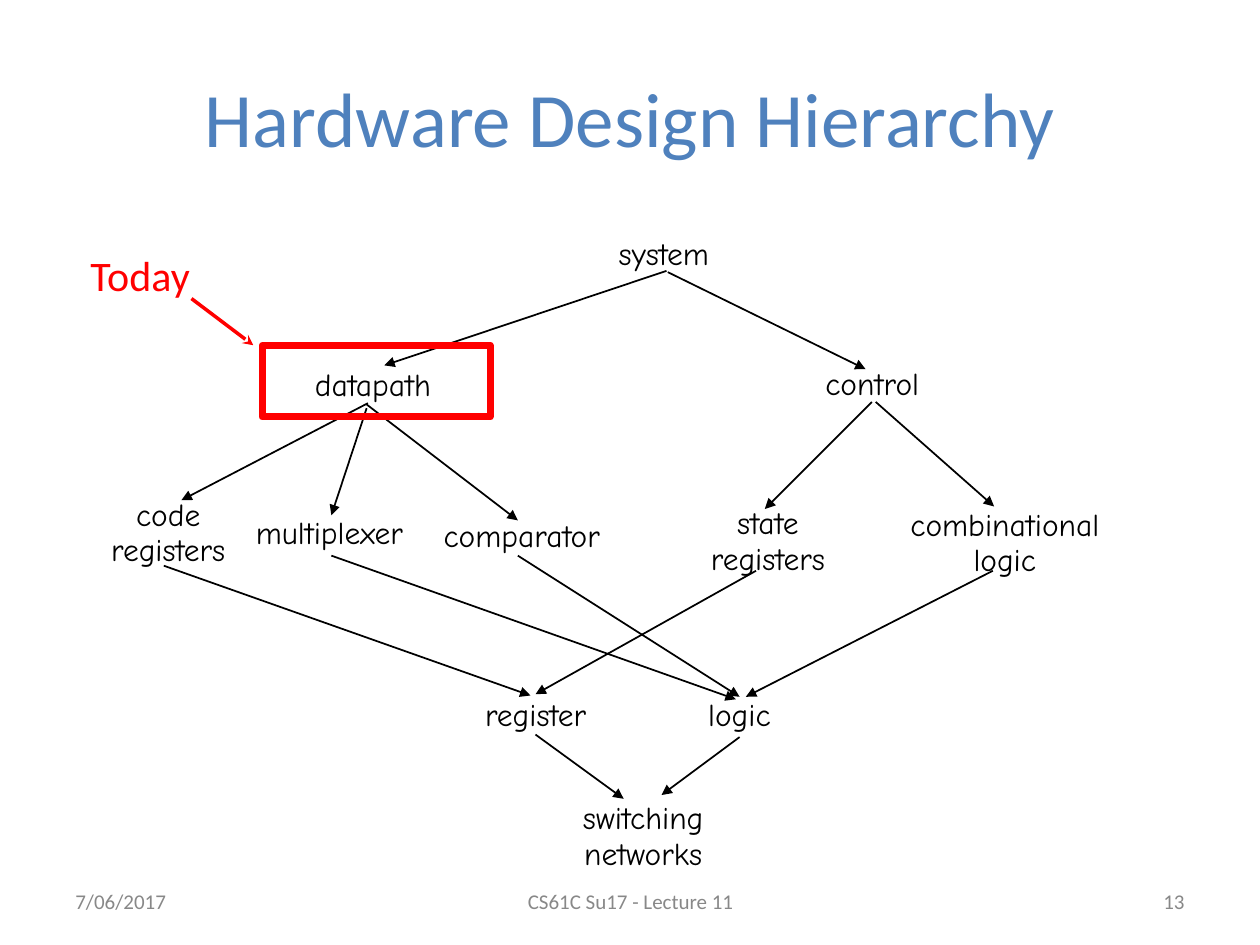
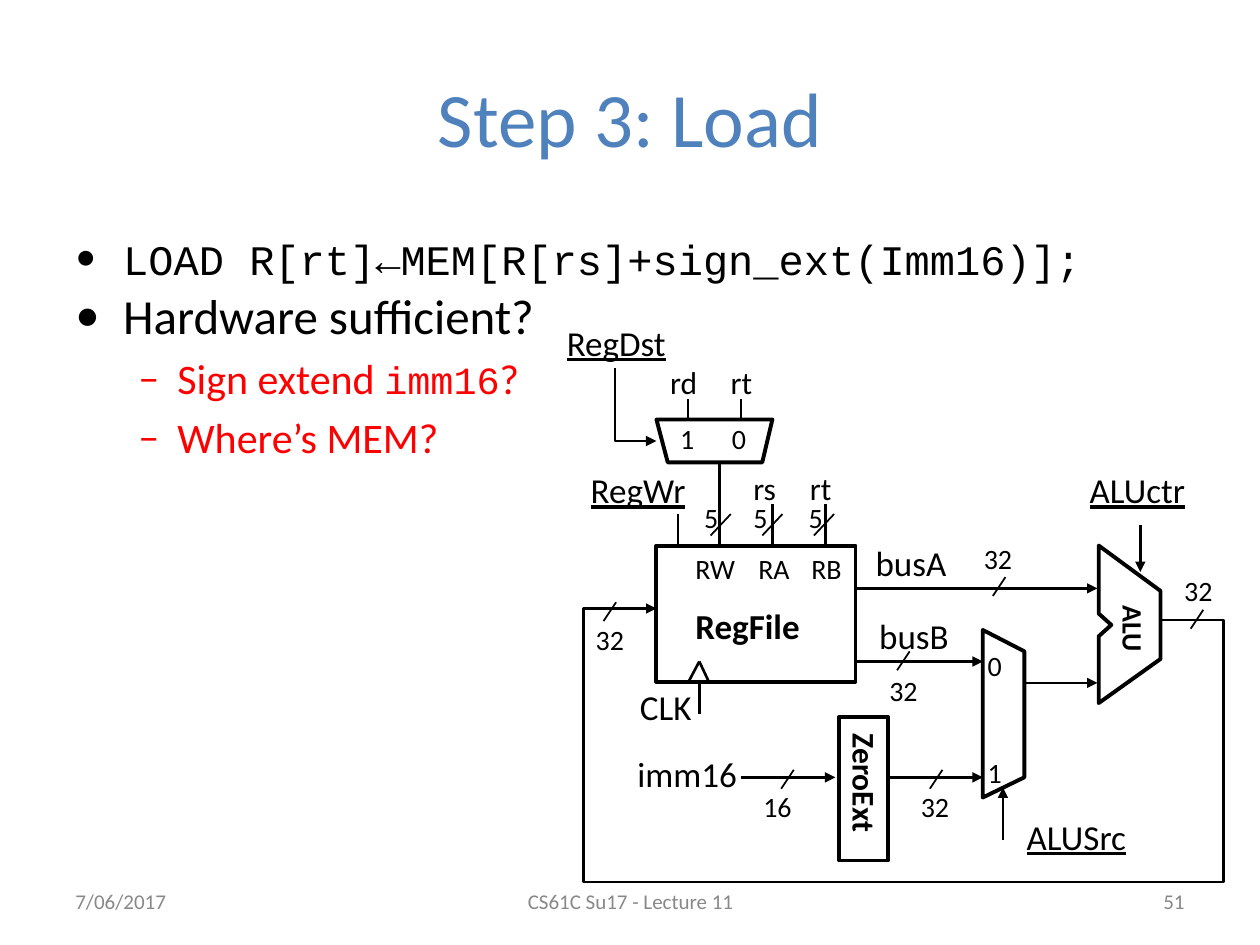
"""Build two lecture slides: a hardware design hierarchy and a load datapath."""
from lxml.etree import SubElement
from pptx import Presentation
from pptx.dml.color import RGBColor as RGB
from pptx.enum.shapes import MSO_CONNECTOR as CONN, MSO_SHAPE as SHAPE
from pptx.enum.text import MSO_ANCHOR as ANCHOR, PP_ALIGN as ALIGN
from pptx.oxml.ns import qn
from pptx.util import Cm, Pt

COLORS = {"title": "4F81BD", "ink": "000000", "alert": "FF0000", "footer": "888888"}
BODY, HAND, CODE = "Calibri", "Comic Neue", "Courier New"
COURSE, DATE = "CS61C Su17 - Lecture 11", "7/06/2017"


def grid(*units):
    return [Cm(2.54 * u) for u in units]


def write(p, text, size=20, font=BODY, color="ink", bold=False,
          underline=False, align=None, spacing=None):
    if align:
        p.alignment = align
    if spacing:
        p.line_spacing = spacing
    for i, line in enumerate(text.split("\n")):
        if i:
            p.add_line_break()
        r = p.add_run()
        r.text = line
        r.font.size, r.font.name = Pt(size), font
        r.font.bold, r.font.underline = bold, underline
        r.font.color.rgb = RGB.from_string(COLORS[color])


def add_text(s, box, text, wrap=False, insets=(0.1, 0.05), anchor=ANCHOR.TOP,
             rotation=0, **fmt):
    sp = s.shapes.add_textbox(*grid(*box))
    sp.rotation = rotation
    tf = sp.text_frame
    tf.word_wrap, tf.vertical_anchor = wrap, anchor
    tf.margin_left = tf.margin_right = grid(insets[0])[0]
    tf.margin_top = tf.margin_bottom = grid(insets[1])[0]
    if text:
        write(tf.paragraphs[0], text, **fmt)
    return tf


def style_line(sp, width, color="ink", arrow=None):
    sp.line.width = Pt(width)
    sp.line.color.rgb = RGB.from_string(COLORS[color])
    if arrow:
        SubElement(sp.line._get_or_add_ln(), qn("a:tailEnd"), type=arrow)


def add_line(s, x1, y1, x2, y2, width=1.5, color="ink", arrow=None):
    sp = s.shapes.add_connector(CONN.STRAIGHT, *grid(x1, y1, x2, y2))
    SubElement(sp._element.spPr, qn("a:effectLst"))
    style_line(sp, width, color, arrow)


def add_arrow(s, *ends, **fmt):
    add_line(s, *ends, **{"arrow": "triangle", **fmt})


def add_slash(s, right, top, width=0.1, height=0.15):
    add_line(s, right, top, right - width, top + height, width=1)


def add_frame(s, box, width, color="ink"):
    sp = s.shapes.add_shape(SHAPE.RECTANGLE, *grid(*box))
    sp.shadow.inherit = False
    sp.fill.background()
    style_line(sp, width, color)


def add_path(s, points, width=2.25, close=True, arrow=None):
    start, *rest = [grid(*pt) for pt in points]
    builder = s.shapes.build_freeform(*start, scale=1.0)
    builder.add_line_segments(rest, close=close)
    sp = builder.convert_to_shape()
    sp.shadow.inherit = False
    sp.fill.background()
    style_line(sp, width, arrow=arrow)


def add_bullet(p, char, left, hanging, runs, color="ink", before=0):
    pPr = p._p.get_or_add_pPr()
    pPr.set("marL", str(grid(left)[0]))
    pPr.set("indent", str(-grid(hanging)[0]))
    p.space_before = Pt(before)
    clr = SubElement(pPr, qn("a:buClr"))
    SubElement(clr, qn("a:srgbClr"), val=COLORS[color])
    SubElement(pPr, qn("a:buFont"), typeface=BODY)
    SubElement(pPr, qn("a:buChar"), char=char)
    for text, size, font in runs:
        write(p, text, size=size, font=font, color=color)


def new_slide(prs, title, number):
    s = prs.slides.add_slide(prs.slide_layouts[5])
    sp = s.shapes.title
    sp.left, sp.top, sp.width, sp.height = grid(0.5, 0.3, 9, 1.25)
    sp.text_frame.vertical_anchor = ANCHOR.MIDDLE
    write(sp.text_frame.paragraphs[0], title, size=44, color="title", align=ALIGN.CENTER)
    for left, width, text, align in [(0.5, 2.33, DATE, ALIGN.LEFT),
                                     (3.42, 3.17, COURSE, ALIGN.CENTER),
                                     (7.17, 2.33, number, ALIGN.RIGHT)]:
        add_text(s, (left, 6.95, width, 0.4), text, wrap=True, anchor=ANCHOR.MIDDLE,
                 size=12, color="footer", align=align)
    return s


def hierarchy_slide(prs):
    s = new_slide(prs, "Hardware Design Hierarchy", "13")
    nodes = [
        ("system", 4.89, 1.85, 1.12), ("datapath", 2.48, 2.89, 1.33),
        ("control", 6.53, 2.88, 1.11), ("code\nregisters", 0.83, 3.92, 1.01),
        ("multiplexer", 2.01, 4.07, 1.49), ("comparator", 3.5, 4.09, 1.52),
        ("state\nregisters", 5.26, 3.99, 1.67),
        ("combinational\nlogic", 6.79, 4, 2.37),
        ("register", 3.83, 5.51, 1.16), ("logic", 5.6, 5.51, 0.92),
        ("switching\nnetworks", 4.09, 6.33, 2.03),
    ]
    for text, left, top, width in nodes:
        two_lines = "\n" in text
        add_text(s, (left, top, width, 0.6 if two_lines else 0.37), text, wrap=True,
                 insets=(0.02, 0.03), size=18, font=HAND, spacing=0.94,
                 align=ALIGN.CENTER if two_lines else ALIGN.LEFT)
    edges = [
        (5.29, 2.15, 3.05, 2.9), (5.3, 2.16, 6.87, 2.93),
        (2.92, 3.2, 1.44, 3.97), (2.91, 3.24, 2.63, 4.09), (2.91, 3.21, 4.11, 4.13),
        (6.92, 3.19, 6.07, 4.04), (6.95, 3.19, 7.89, 4.02),
        (1.3, 4.49, 4.21, 5.52), (2.63, 4.41, 5.84, 5.55), (4.11, 4.41, 5.87, 5.53),
        (6, 4.53, 4.25, 5.51), (7.88, 4.53, 5.92, 5.53),
        (4.25, 5.83, 4.95, 6.34), (5.87, 5.85, 5.25, 6.31),
    ]
    for edge in edges:
        add_arrow(s, *edge, width=1)
    add_frame(s, (2.08, 2.74, 1.81, 0.57), 4, "alert")
    add_text(s, (0.62, 1.93, 1, 0.5), "Today", size=24, color="alert")
    add_arrow(s, 1.52, 2.37, 2.01, 2.74, width=2, color="alert", arrow="stealth")


def add_load_notes(s):
    tf = add_text(s, (0.5, 1.75, 9, 5.4), "", wrap=True)
    top, sub = ("•", 0.38, 0.38), ("–", 0.81, 0.31)
    red = {"color": "alert", "before": 4.8}
    notes = [
        (top, [("LOAD R[rt]←MEM[R[rs]+sign_ext(Imm16)];", 24, CODE), (" ", 28, BODY)], {}),
        (top, [("Hardware sufficient?", 28, BODY)], {}),
        (sub, [("Sign extend ", 24, BODY), ("imm16", 22, CODE), ("?", 24, BODY)], red),
        (sub, [("Where’s MEM?", 24, BODY)], red),
    ]
    for i, (bullet, runs, fmt) in enumerate(notes):
        p = tf.add_paragraph() if i else tf.paragraphs[0]
        add_bullet(p, *bullet, runs, **fmt)


def add_datapath_labels(s):
    signals = [("RegDst", 4.4, 2.5, 1.03), ("RegWr", 4.59, 3.67, 0.96),
               ("ALUctr", 8.55, 3.67, 1.14), ("ALUSrc", 8.05, 6.42, 0.99)]
    wires = [("CLK", 4.98, 5.39, 0.61), ("busA", 6.85, 4.25, 0.78),
             ("busB", 6.88, 4.83, 0.77), ("imm16", 4.96, 5.92, 1)]
    operands = [("rd", 5.22, 2.83, 0.42), ("rt", 5.7, 2.83, 0.37),
                ("rs", 5.88, 3.67, 0.38), ("rt", 6.33, 3.67, 0.37)]
    ports = [("RW", 5.42, 4.33, 0.52), ("RA", 5.92, 4.33, 0.45), ("RB", 6.34, 4.33, 0.45)]
    widths = [("32", 9.3, 4.5, 0.43), ("32", 4.63, 4.89, 0.43), ("32", 7.71, 4.25, 0.43),
              ("32", 6.96, 5.3, 0.43), ("32", 7.21, 6.22, 0.43), ("16", 5.96, 6.22, 0.43),
              ("5", 5.49, 3.92, 0.31), ("5", 5.88, 3.92, 0.31), ("5", 6.32, 3.92, 0.31)]
    selects = [("1", 5.3, 3.3, 0.31), ("0", 5.71, 3.3, 0.31),
               ("0", 7.74, 5.1, 0.31), ("1", 7.74, 5.95, 0.31)]
    for labels, height, fmt in [(signals, 0.43, {"underline": True}), (wires, 0.43, {}),
                                (operands, 0.4, {"size": 18}),
                                (ports + widths + selects, 0.37, {"size": 16})]:
        for text, left, top, width in labels:
            add_text(s, (left, top, width, height), text, **fmt)
    add_text(s, (5.42, 4.75, 1.04, 0.43), "RegFile", bold=True)
    add_text(s, (6.37, 6.02, 0.99, 0.4), "ZeroExt", rotation=90, size=18, bold=True)
    add_text(s, (8.7, 4.82, 0.59, 0.37), "ALU", rotation=90, size=16, bold=True)


def add_datapath_blocks(s):
    reg_file, zero_ext = (5.21, 4.33, 1.58, 1.08), (6.66, 5.69, 0.39, 1.14)
    dst_mux = [(5.21, 3.33), (5.3, 3.67), (6.05, 3.67), (6.13, 3.33)]
    src_mux = [(7.8, 5), (7.8, 6.33), (8.13, 6.17), (8.13, 5.17)]
    alu = [(8.72, 4.33), (8.72, 4.87), (8.82, 4.96), (8.72, 5.05),
           (8.72, 5.58), (9.21, 5.23), (9.21, 4.69)]
    add_frame(s, reg_file, 2.25)
    add_frame(s, zero_ext, 2)
    for outline in (dst_mux, src_mux, alu):
        add_path(s, outline)


def add_datapath_wires(s):
    reg_dst = [(4.88, 2.92), (4.88, 3.5), (5.21, 3.5)]
    write_back = [(9.21, 4.92), (9.71, 4.92), (9.71, 7), (4.63, 7), (4.63, 4.83), (5.21, 4.83)]
    for route in (reg_dst, write_back):
        add_path(s, route, width=1.5, close=False, arrow="triangle")
    for x in (5.46, 5.88):
        add_line(s, x, 3.17, x, 3.33, width=1)
    for x, top in [(5.38, 4.08), (5.71, 3.67), (6.13, 4), (6.55, 4)]:
        add_line(s, x, top, x, 4.33)
    for x1, x2, y in [(6.8, 8.71, 4.67), (6.8, 7.8, 5.25), (8.13, 8.71, 5.42),
                      (7.05, 7.8, 6.17), (5.88, 6.63, 6.17)]:
        add_arrow(s, x1, y, x2, y)
    add_arrow(s, 9.05, 4.17, 9.05, 4.54)
    add_arrow(s, 7.96, 6.67, 7.96, 6.25)
    for clock_edge in [(5.55, 5.25, 5.46, 5.42), (5.55, 5.25, 5.63, 5.42),
                       (5.55, 5.42, 5.55, 5.67)]:
        add_line(s, *clock_edge)
    for right, top in [(4.89, 4.78), (7.98, 4.58), (7.22, 5.17),
                       (7.48, 6.11), (6.3, 6.11), (9.55, 4.84)]:
        add_slash(s, right, top)
    for right in (5.8, 6.21, 6.62):
        add_slash(s, right, 4.08, 0.16, 0.17)


def load_slide(prs):
    s = new_slide(prs, "Step 3: Load", "51")
    add_load_notes(s)
    add_datapath_labels(s)
    add_datapath_blocks(s)
    add_datapath_wires(s)


def main():
    prs = Presentation()
    prs.slide_width, prs.slide_height = Cm(25.4), Cm(19.05)
    hierarchy_slide(prs)
    load_slide(prs)
    prs.save("out.pptx")


if __name__ == "__main__":
    main()
